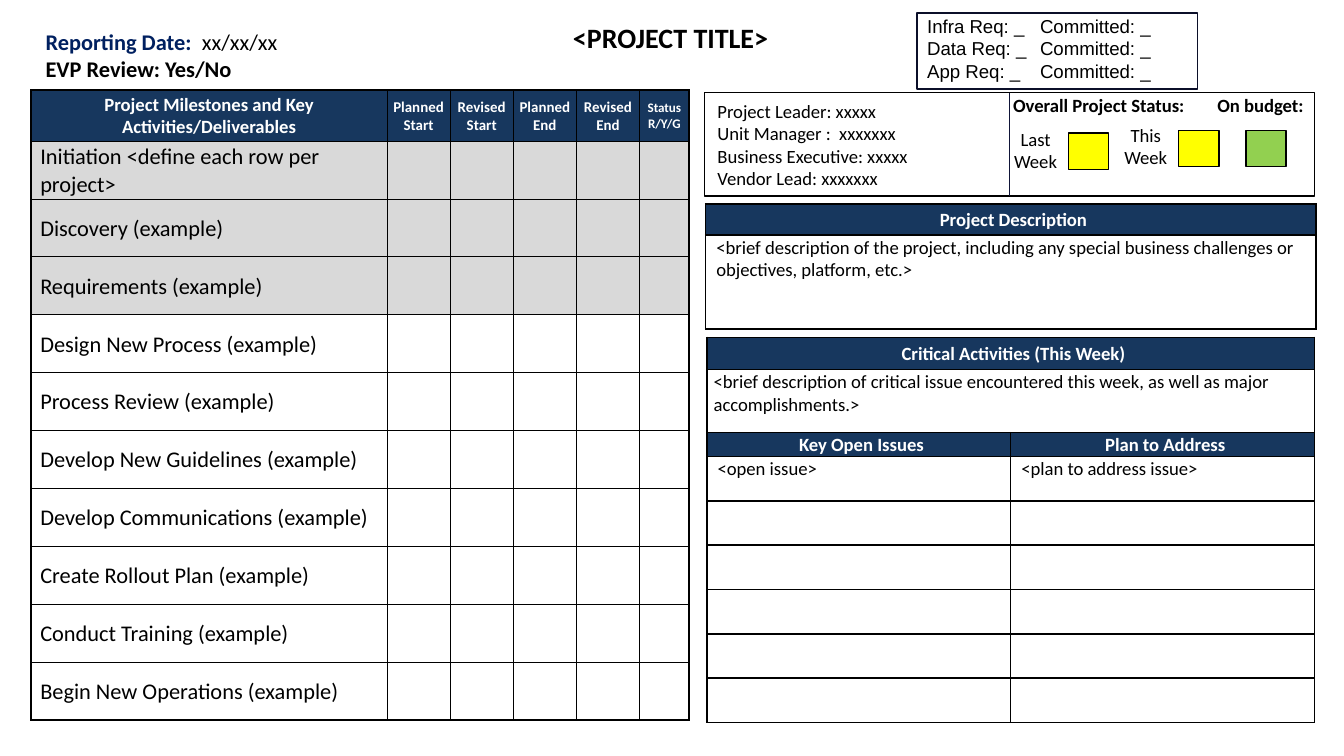
import dataclasses

import pptx
import pptx.dml.color
import pptx.enum.shapes
import pptx.enum.text
import pptx.oxml
import pptx.oxml.ns
import pptx.util

Inches = pptx.util.Inches
Pt = pptx.util.Pt
Align = pptx.enum.text.PP_ALIGN
Anchor = pptx.enum.text.MSO_ANCHOR
Shapes = pptx.enum.shapes.MSO_SHAPE


@dataclasses.dataclass(frozen=True)
class Theme:
    font: str = "Calibri"
    request_font: str = "Arial"
    black: str = "000000"
    white: str = "FFFFFF"
    header: str = "17375E"
    date: str = "002060"
    done: str = "D9D9D9"
    divider: str = "0F1437"
    frame: str = "0B0F29"
    caution: str = "FFFF00"
    good: str = "92D050"
    title: int = 15
    large: int = 12
    body: int = 10
    column: int = 8
    small: int = 7


THEME = Theme()
HEADING = {"color": THEME.white, "bold": True, "align": Align.CENTER}


def rgb(value):
    return pptx.dml.color.RGBColor.from_string(value)


def write(frame, text, size=THEME.body, color=THEME.black, bold=False,
          align=Align.LEFT, font=THEME.font):
    """Fill a text frame, one paragraph for each line of text."""
    frame.text = text
    for paragraph in frame.paragraphs:
        paragraph.alignment = align
        for run in paragraph.runs:
            values = {"name": font, "size": Pt(size), "bold": bold}
            for name, value in values.items():
                setattr(run.font, name, value)
            run.font.color.rgb = rgb(color)


def add_text(slide, left, top, width, height, text, **style):
    box = slide.shapes.add_textbox(*map(Inches, (left, top, width, height)))
    box.text_frame.word_wrap = True
    write(box.text_frame, text, **style)
    return box


def add_box(slide, left, top, width, height, fill=None, line=THEME.black,
            weight=0.75, kind=Shapes.RECTANGLE):
    shape = slide.shapes.add_shape(kind, *map(Inches, (left, top, width, height)))
    shape.shadow.inherit = False
    if fill:
        shape.fill.solid()
        shape.fill.fore_color.rgb = rgb(fill)
    else:
        shape.fill.background()
    shape.line.color.rgb = rgb(line)
    shape.line.width = Pt(weight)
    return shape


def set_borders(cell, weights):
    """Draw the left, right, top and bottom border with the given weights."""
    properties = cell._tc.get_or_add_tcPr()
    for index, (side, weight) in enumerate(zip("LRTB", weights)):
        properties.insert(index, pptx.oxml.parse_xml(
            f'<a:ln{side} {pptx.oxml.ns.nsdecls("a")} w="{Pt(weight)}">'
            f'<a:solidFill><a:srgbClr val="{THEME.black}"/></a:solidFill></a:ln{side}>'))


def add_table(slide, left, top, columns, rows, inner=1):
    """Add a table without banding: outer borders 1 pt, inner ones as given."""
    size = (sum(columns), sum(rows))
    table = slide.shapes.add_table(len(rows), len(columns),
                                   *map(Inches, (left, top, *size))).table
    table.first_row = table.horz_banding = False
    for column, width in zip(table.columns, columns):
        column.width = Inches(width)
    for row, height in zip(table.rows, rows):
        row.height = Inches(height)
    for r in range(len(rows)):
        for c in range(len(columns)):
            edges = (c == 0, c == len(columns) - 1, r == 0, r == len(rows) - 1)
            cell = table.cell(r, c)
            format_cell(cell)
            set_borders(cell, [1 if edge else inner for edge in edges])
    return table


def format_cell(cell, fill=None, left=0.01, anchor=Anchor.TOP):
    values = {"margin_left": Inches(left), "margin_right": Inches(0.01),
              "margin_top": Inches(0.01), "margin_bottom": 0,
              "vertical_anchor": anchor}
    for name, value in values.items():
        setattr(cell, name, value)
    if fill:
        cell.fill.solid()
        cell.fill.fore_color.rgb = rgb(fill)
    else:
        cell.fill.background()


def fill_header(cell, text, left=0.05, size=THEME.body):
    format_cell(cell, THEME.header, left, Anchor.MIDDLE)
    write(cell.text_frame, text, size=size, **HEADING)


def fill_body(cell, text, left=0.08):
    format_cell(cell, left=left)
    write(cell.text_frame, text)


def add_heading(slide, left, top):
    title = slide.shapes.title
    place = {"left": left + 2, "top": top, "width": 5.5, "height": 0.35}
    for name, value in place.items():
        setattr(title, name, Inches(value))
    write(title.text_frame, "<PROJECT TITLE>", size=THEME.title, bold=True,
          align=Align.CENTER)
    box = add_text(slide, left, top + 0.06, 2.38, 0.5,
                   "Reporting Date:\nEVP Review: Yes/No", size=THEME.large, bold=True)
    paragraph = box.text_frame.paragraphs[0]
    paragraph.runs[0].font.color.rgb = rgb(THEME.date)
    date = paragraph.add_run()
    date.text = "  xx/xx/xx"
    date.font.name = THEME.font
    date.font.size = Pt(THEME.large)
    date.font.color.rgb = rgb(THEME.black)


def add_requests(slide, left, top, width, height):
    add_box(slide, left, top, width, height, line=THEME.frame, weight=1)
    lines = [f"{kind} Req: _\tCommitted: _" for kind in ("Infra", "Data", "App")]
    box = add_text(slide, left - 0.02, top - 0.04, width, height + 0.05,
                   "\n".join(lines), font=THEME.request_font)
    for paragraph in box.text_frame.paragraphs:
        paragraph._p.get_or_add_pPr().append(pptx.oxml.parse_xml(
            f'<a:tabLst {pptx.oxml.ns.nsdecls("a")}>'
            f'<a:tab pos="{Inches(0.84)}" algn="l"/></a:tabLst>'))


def add_milestones(slide, left, top, width, height):
    names = ["Initiation <define each row per project>", "Discovery (example)",
             "Requirements (example)", "Design New Process (example)",
             "Process Review (example)", "Develop New Guidelines (example)",
             "Develop Communications (example)", "Create Rollout Plan (example)",
             "Conduct Training (example)", "Begin New Operations (example)"]
    headers = [("Project Milestones and Key Activities/Deliverables", THEME.body),
               ("Planned\nStart", THEME.column), ("Revised\nStart", THEME.column),
               ("Planned\nEnd", THEME.column), ("Revised\nEnd", THEME.column),
               ("Status\nR/Y/G", THEME.small)]
    header_height, date_width, status_width = 0.38, 0.47, 0.37
    columns = [width - 4 * date_width - status_width, *[date_width] * 4, status_width]
    row_height = (height - header_height) / len(names)
    table = add_table(slide, left, top, columns,
                      [header_height] + [row_height] * len(names), inner=0.5)
    for column, (text, size) in enumerate(headers):
        fill_header(table.cell(0, column), text, left=0.01, size=size)
    for row, name in enumerate(names, start=1):
        for column in range(len(columns)):
            format_cell(table.cell(row, column), THEME.done if row <= 3 else None,
                        left=0.07, anchor=Anchor.MIDDLE)
        write(table.cell(row, 0).text_frame, name, size=THEME.large)


def add_status_panel(slide, left, top, width, height):
    panel = add_box(slide, left, top, width, height)
    panel.text_frame.vertical_anchor = Anchor.MIDDLE
    write(panel.text_frame, "Project Leader: xxxxx\nUnit Manager :  xxxxxxx\n"
          "Business Executive: xxxxx\nVendor Lead: xxxxxxx")
    divider = slide.shapes.add_connector(pptx.enum.shapes.MSO_CONNECTOR.STRAIGHT, 0, 0, 0, 0)
    divider.begin_connect(panel, 0)
    divider.end_connect(panel, 2)
    divider.line.color.rgb = rgb(THEME.divider)
    divider.line.width = Pt(0.75)
    divider._element.spPr.append(pptx.oxml.parse_xml(
        f'<a:effectLst {pptx.oxml.ns.nsdecls("a")}/>'))
    for x, label_width, label in ((2.2, 1.5, "Overall Project Status:"),
                                  (3.72, 0.9, "On budget:")):
        add_text(slide, left + x, top - 0.04, label_width, 0.27, label, bold=True)
    for x, y, label in ((2.19, 0.21, "Last Week"), (3.01, 0.18, "This Week")):
        add_text(slide, left + x, top + y, 0.55, 0.44, label, align=Align.CENTER)
    for x, y, color in ((2.71, 0.3, THEME.caution), (3.53, 0.28, THEME.caution),
                        (4.03, 0.28, THEME.good)):
        add_box(slide, left + x, top + y, 0.3, 0.27, fill=color,
                kind=Shapes.FLOWCHART_PROCESS)


def add_description(slide, left, top, width):
    table = add_table(slide, left, top, [width], [0.23, 0.7])
    fill_header(table.cell(0, 0), "Project Description")
    fill_body(table.cell(1, 0), "<brief description of the project, including any "
              "special business challenges or objectives, platform, etc.>")


def add_activities(slide, left, top, width):
    table = add_table(slide, left, top, [width / 2] * 2,
                      [0.24, 0.47, 0.17] + [0.33] * 6)
    for row in (0, 1):
        table.cell(row, 0).merge(table.cell(row, 1))
    fill_header(table.cell(0, 0), "Critical Activities (This Week)")
    fill_body(table.cell(1, 0), "<brief description of critical issue encountered "
              "this week, as well as major accomplishments.>", left=0.05)
    issues = (("Key Open Issues", "<open issue>"),
              ("Plan to Address", "<plan to address issue>"))
    for column, (header, text) in enumerate(issues):
        fill_header(table.cell(2, column), header)
        fill_body(table.cell(3, column), text)


def main():
    presentation = pptx.Presentation()
    presentation.slide_width = Inches(10)
    presentation.slide_height = presentation.slide_width * 9 // 16
    slide = presentation.slides.add_slide(presentation.slide_layouts[5])
    add_heading(slide, 0.24, 0.1)
    add_requests(slide, 6.82, 0.1, 2.09, 0.56)
    add_milestones(slide, 0.23, 0.67, 4.9, 4.69)
    add_status_panel(slide, 5.24, 0.69, 4.54, 0.77)
    add_description(slide, 5.25, 1.52, 4.54)
    add_activities(slide, 5.26, 2.51, 4.52)
    presentation.save("out.pptx")


if __name__ == "__main__":
    main()
